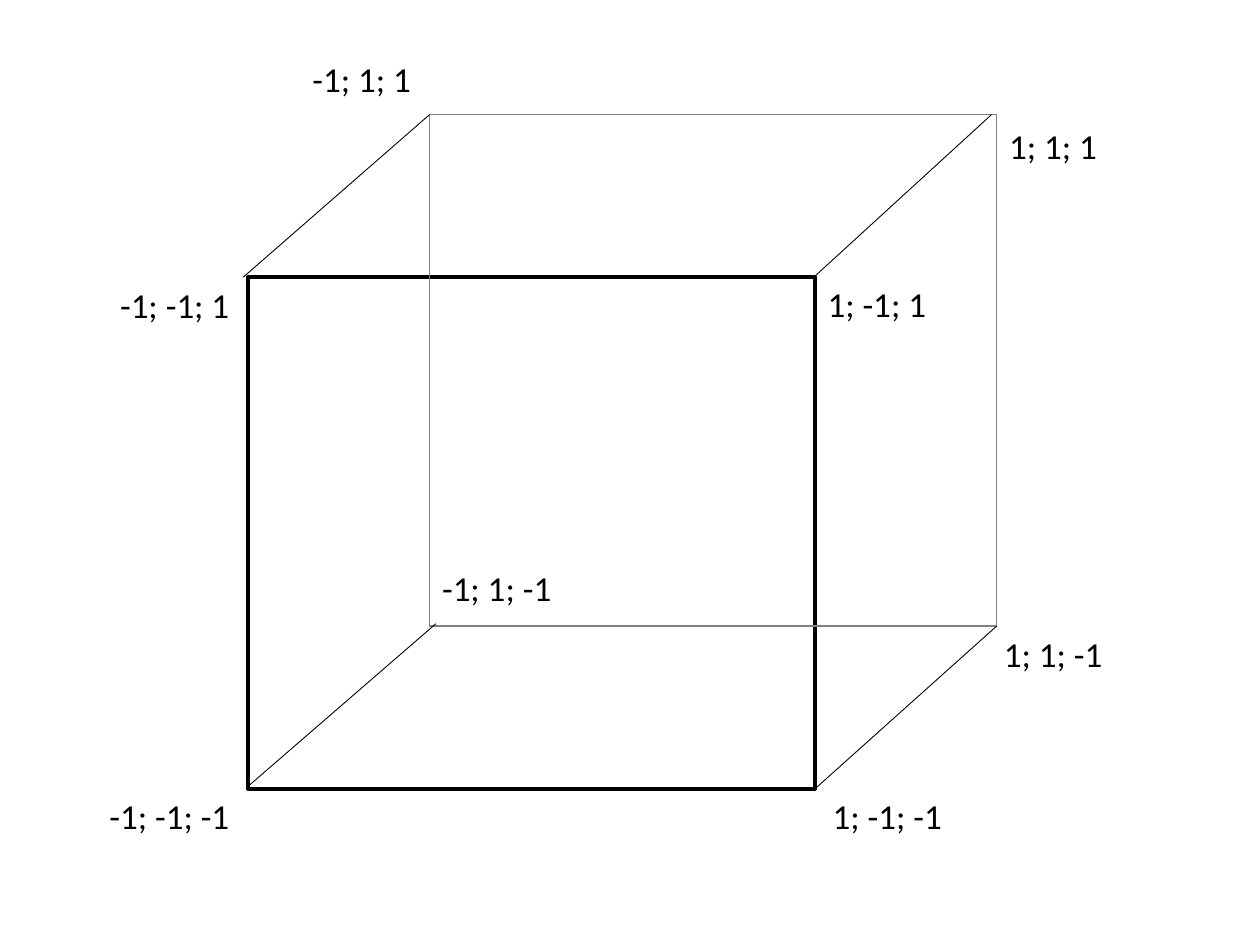
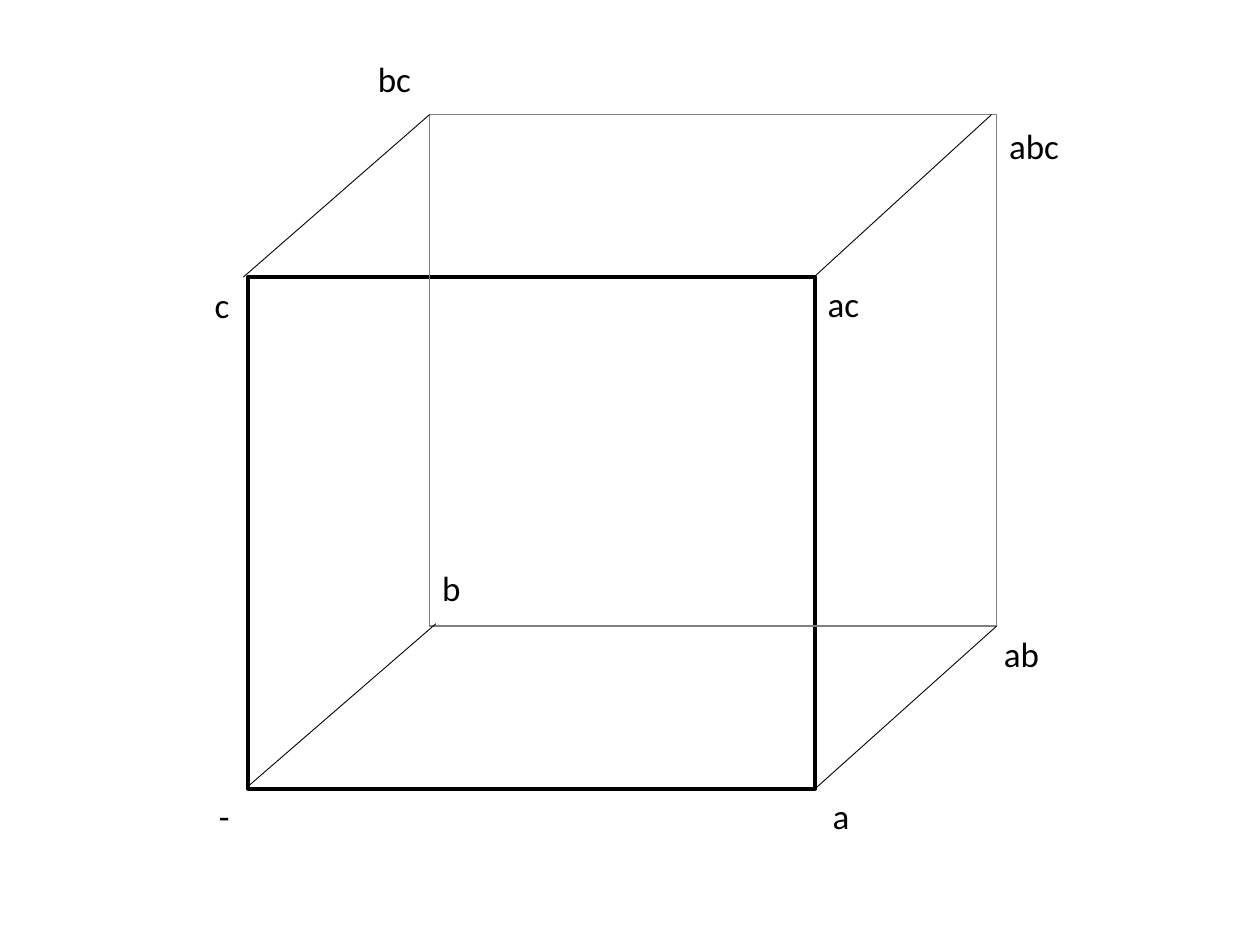
from dataclasses import dataclass
from typing import Any, Callable, NamedTuple

from pptx import Presentation
from pptx import util as u
from pptx.dml import color
from pptx.enum import shapes, text
from pptx.oxml import ns, xmlchemy


@dataclass(frozen=True)
class Theme:
    black: color.RGBColor = color.RGBColor(0, 0, 0)
    grey: color.RGBColor = color.RGBColor(0x80, 0x80, 0x80)
    font: str = "Calibri"
    label_size: float = 20
    front_width: float = 2.25
    back_width: float = 0.75
    edge_width: float = 0.5


class Face(NamedTuple):
    left: float
    top: float
    colour: color.RGBColor
    line_width: float


class Edge(NamedTuple):
    start: tuple[float, float]
    end: tuple[float, float]


class Corner(NamedTuple):
    levels: tuple[int, int, int]
    left: float
    top: float
    align_right: bool = False


THEME = Theme()
BLANK_LAYOUT = 6
FACE_SIZE = (324, 292.3)
LABEL_SIZE = (106.5, 31.5)

# Cube geometry, in points
FACES = [
    Face(141.8, 158.4, THEME.black, THEME.front_width),
    Face(245.5, 65.5, THEME.grey, THEME.back_width),
]
EDGES = [
    Edge((245.5, 65.5), (139, 158.4)),
    Edge((566.6, 65.5), (465.8, 157.7)),
    Edge((569.5, 357.8), (465.8, 450.7)),
    Edge((249.1, 356.4), (141.8, 449.3)),
]
CORNERS = [
    Corner((-1, -1, -1), 31.7, 450.7, align_right=True),
    Corner((1, -1, -1), 468.7, 450.7),
    Corner((1, 1, -1), 566.6, 357.8),
    Corner((1, 1, 1), 569.5, 67.7),
    Corner((-1, 1, 1), 135.4, 29.5, align_right=True),
    Corner((-1, -1, 1), 31.7, 158.4, align_right=True),
    Corner((-1, 1, -1), 245.5, 320.4),
    Corner((1, -1, 1), 465.8, 157.7),
]


def apply_format(target: Any, values: dict[str, Any]) -> None:
    for name, value in values.items():
        setattr(target, name, value)


# Corner naming
def coordinates(levels: tuple[int, int, int]) -> str:
    return "; ".join(str(level) for level in levels)


def factor_letters(levels: tuple[int, int, int]) -> str:
    """Name the factors at their high level, or '-' when there are none."""
    return "".join(f for f, level in zip("abc", levels) if level == 1) or "-"


# Drawing
def format_line(line: Any, colour: color.RGBColor, width: float) -> None:
    line.color.rgb = colour
    line.width = u.Pt(width)


def draw_face(group: Any, face: Face) -> None:
    box = group.shapes.add_shape(
        shapes.MSO_SHAPE.RECTANGLE, u.Pt(face.left), u.Pt(face.top),
        *map(u.Pt, FACE_SIZE))
    box.shadow.inherit = False
    box.fill.background()
    format_line(box.line, face.colour, face.line_width)


def draw_edge(group: Any, edge: Edge) -> None:
    connector = group.shapes.add_connector(
        shapes.MSO_CONNECTOR.STRAIGHT, *map(u.Pt, edge.start + edge.end))
    format_line(connector.line, THEME.black, THEME.edge_width)
    # An empty effect list removes the shadow
    properties = connector._element.spPr
    properties.append(xmlchemy.OxmlElement("a:effectLst"))


def draw_label(group: Any, corner: Corner, wording: str) -> None:
    box = group.shapes.add_textbox(
        u.Pt(corner.left), u.Pt(corner.top), *map(u.Pt, LABEL_SIZE))
    apply_format(box.text_frame, {
        "word_wrap": True,
        "auto_size": text.MSO_AUTO_SIZE.SHAPE_TO_FIT_TEXT,
    })
    para = box.text_frame.paragraphs[0]
    para.alignment = text.PP_ALIGN.RIGHT if corner.align_right else text.PP_ALIGN.LEFT
    span = para.add_run()
    span.text = wording
    apply_format(span.font, {"name": THEME.font, "size": u.Pt(THEME.label_size)})
    span.font.color.rgb = THEME.black


def draw_cube(page: Any, name_corner: Callable[[tuple[int, int, int]], str]) -> None:
    group = page.shapes.add_group_shape()
    for face in FACES:
        draw_face(group, face)
    for edge in EDGES:
        draw_edge(group, edge)
    for corner in CORNERS:
        draw_label(group, corner, name_corner(corner.levels))


def main() -> None:
    deck = Presentation()
    apply_format(deck, {"slide_width": u.Pt(720), "slide_height": u.Pt(540)})
    for name_corner in (coordinates, factor_letters):
        page = deck.slides.add_slide(deck.slide_layouts[BLANK_LAYOUT])
        draw_cube(page, name_corner)
    deck.save("out.pptx")


if __name__ == "__main__":
    main()
